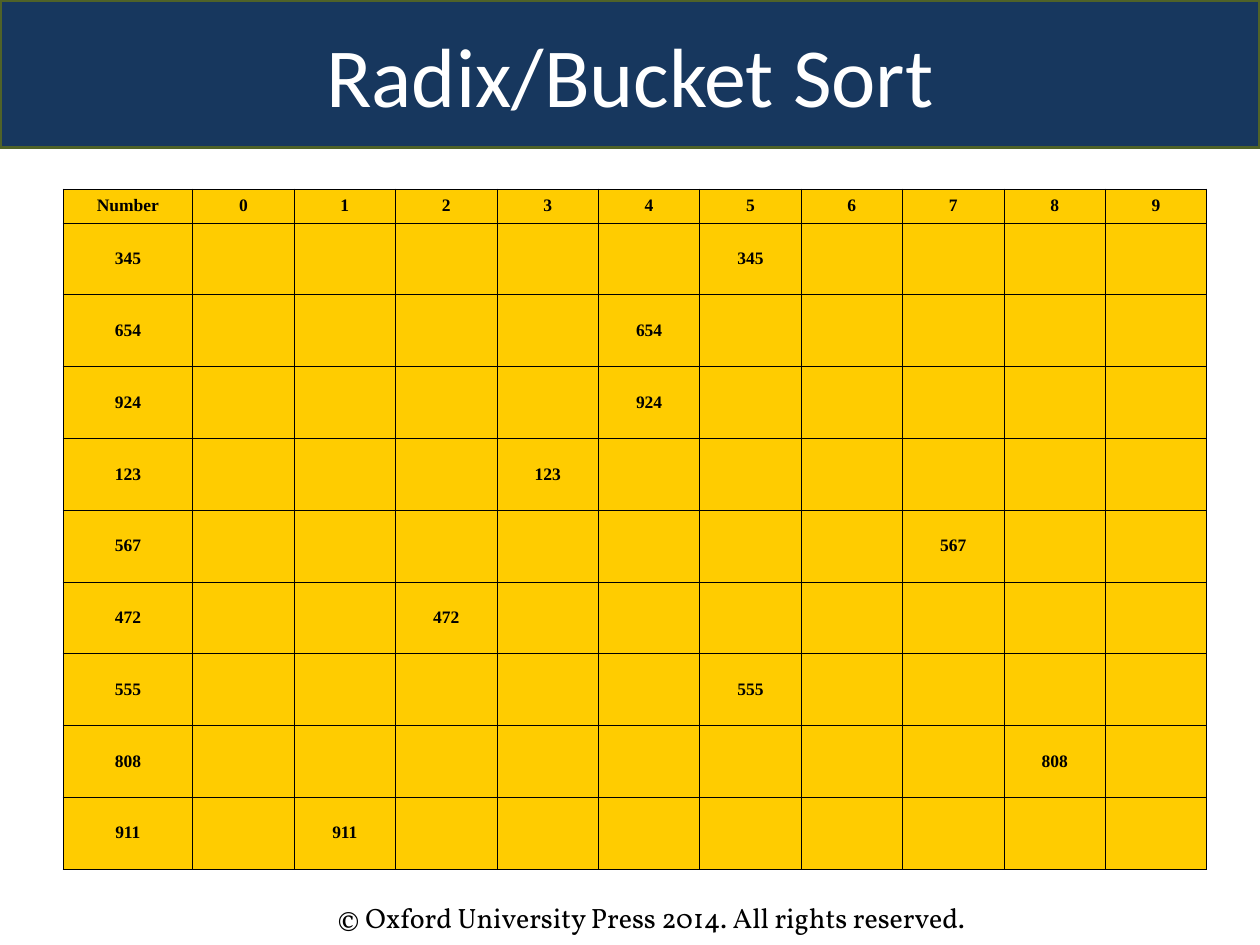
import pptx
import pptx.dml.color
import pptx.enum.text
import pptx.oxml.ns
import pptx.util
from lxml import etree
from pptx.util import Inches

NUMBERS = [345, 654, 924, 123, 567, 472, 555, 808, 911]
TABLE_WIDTH, NUMBER_WIDTH = 9.08, 1.03
HEADER_HEIGHT, ROW_HEIGHT = 0.27, 0.57


def rgb(color):
    return pptx.dml.color.RGBColor.from_string(color)


def write(tf, text, size, font, color="000000", bold=False, align="LEFT"):
    p = tf.paragraphs[0]
    p.alignment = getattr(pptx.enum.text.PP_ALIGN, align)
    r = p.add_run()
    r.text = text
    r.font.size = pptx.util.Pt(size)
    r.font.name = font
    r.font.bold = bold
    r.font.color.rgb = rgb(color)


def add_title(s, text):
    sp = s.shapes.title
    sp.left, sp.top = Inches(0), Inches(0)
    sp.width, sp.height = Inches(10), Inches(1.17)
    sp.fill.solid()
    sp.fill.fore_color.rgb = rgb("17375E")
    sp.line.color.rgb = rgb("4F6228")
    sp.line.width = pptx.util.Pt(2)
    tf = sp.text_frame
    tf.auto_size = pptx.enum.text.MSO_AUTO_SIZE.NONE
    tf.vertical_anchor = pptx.enum.text.MSO_ANCHOR.MIDDLE
    write(tf, text, 48, "Calibri", color="FFFFFF", align="CENTER")


def add_footer(s, text):
    sp = s.shapes.add_textbox(Inches(2.58), Inches(7.1), Inches(5.92), Inches(0.37))
    sp.text_frame.word_wrap = True
    write(sp.text_frame, text, 16, "Vollkorn")


def add_borders(cell, color, width):
    qn = pptx.oxml.ns.qn
    tc_pr = cell._tc.get_or_add_tcPr()
    for side in ("a:lnL", "a:lnR", "a:lnT", "a:lnB"):
        ln = etree.SubElement(tc_pr, qn(side), w=str(pptx.util.Pt(width)))
        fill = etree.SubElement(ln, qn("a:solidFill"))
        etree.SubElement(fill, qn("a:srgbClr"), val=color)


def format_cell(cell, text):
    add_borders(cell, "000000", 0.45)
    cell.fill.solid()
    cell.fill.fore_color.rgb = rgb("FFCC00")
    cell.vertical_anchor = pptx.enum.text.MSO_ANCHOR.MIDDLE
    if text:
        write(cell.text_frame, text, 10, "Times New Roman", bold=True, align="CENTER")


def bucket_rows(numbers):
    """Header row, then each number placed in the bucket of its last digit."""
    rows = [["Number"] + [str(digit) for digit in range(10)]]
    for number in numbers:
        buckets = [str(number) if digit == number % 10 else "" for digit in range(10)]
        rows.append([str(number)] + buckets)
    return rows


def add_bucket_table(s, rows):
    height = HEADER_HEIGHT + ROW_HEIGHT * (len(rows) - 1)
    table = s.shapes.add_table(len(rows), len(rows[0]), Inches(0.5), Inches(1.5),
                               Inches(TABLE_WIDTH), Inches(height)).table
    table.first_row = table.horz_banding = False
    bucket_width = (TABLE_WIDTH - NUMBER_WIDTH) / (len(rows[0]) - 1)
    for i, column in enumerate(table.columns):
        column.width = Inches(bucket_width if i else NUMBER_WIDTH)
    for i, row in enumerate(table.rows):
        row.height = Inches(ROW_HEIGHT if i else HEADER_HEIGHT)
        for cell, text in zip(row.cells, rows[i]):
            format_cell(cell, text)


def main():
    prs = pptx.Presentation()
    prs.slide_width, prs.slide_height = Inches(10), Inches(7.5)
    s = prs.slides.add_slide(prs.slide_layouts[5])
    add_title(s, "Radix/Bucket Sort")
    add_bucket_table(s, bucket_rows(NUMBERS))
    add_footer(s, "© Oxford University Press 2014. All rights reserved.")
    prs.save("out.pptx")


if __name__ == "__main__":
    main()
